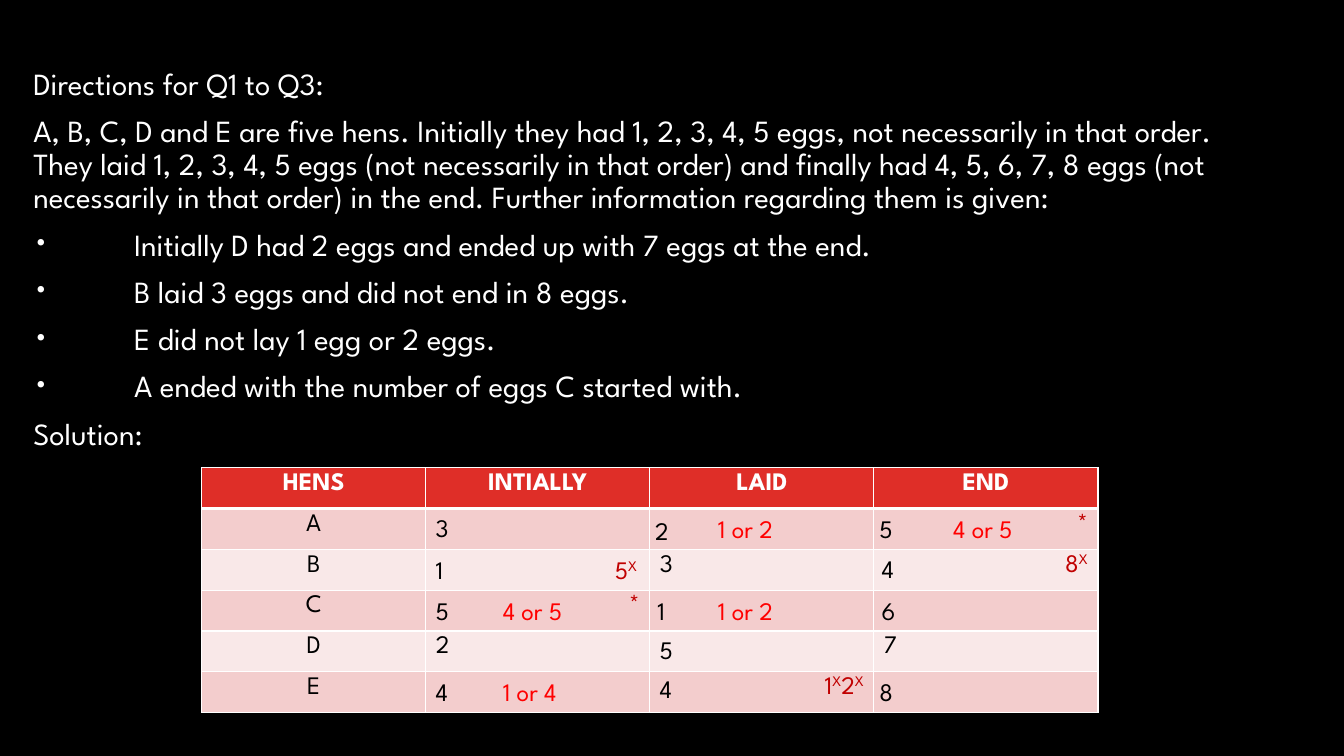
"""Builds the hens-and-eggs puzzle slide with its solution table."""
from itertools import groupby

from lxml.etree import SubElement
from pptx import Presentation
from pptx.dml.color import RGBColor
from pptx.enum.text import MSO_ANCHOR, MSO_AUTO_SIZE, PP_ALIGN
from pptx.oxml.ns import qn
from pptx.util import Inches, Pt

FONT = "League Spartan"
BLACK = RGBColor(0x00, 0x00, 0x00)
WHITE = RGBColor(0xFF, 0xFF, 0xFF)
HEADER_RED = RGBColor(0xDF, 0x2E, 0x28)
PINK = RGBColor(0xF3, 0xCD, 0xCD)
PALE_PINK = RGBColor(0xF9, 0xE8, 0xE8)
DARK_RED = RGBColor(0xC0, 0x00, 0x00)
RED = RGBColor(0xFF, 0x00, 0x00)

INTRO = [
    "Directions for Q1 to Q3:",
    "A, B, C, D and E are five hens. Initially they had 1, 2, 3, 4, 5 eggs, not necessarily "
    "in that order. They laid 1, 2, 3, 4, 5 eggs (not necessarily in that order) and finally "
    "had 4, 5, 6, 7, 8 eggs (not necessarily in that order) in the end. Further information "
    "regarding them is given:",
]
CLUES = [
    "Initially D had 2 eggs and ended up with 7 eggs at the end.",
    "B laid 3 eggs and did not end in 8 eggs.",
    "E did not lay 1 egg or 2 eggs.",
    "A ended with the number of eggs C started with.",
]
CLOSING = ["Solution:"]

HEADINGS = ["HENS", "INTIALLY", "LAID", "END"]
HENS = ["A", "B", "C", "D", "E"]
GIVEN = {(2, 2): "3", (4, 1): "2", (4, 3): "7"}
RULED_OUT = {(1, 3): "*", (2, 3): "8X", (3, 1): "*", (5, 2): "1X2X"}

# Each note: column and row on the table grid, then its text.
ANSWERS = [
    (1, 0.97, "3"), (1.98, 1.04, "2"), (2.98, 1, "5"),
    (1, 2, "1"), (2.99, 1.98, "4"),
    (1, 3, "5"), (1.99, 3, "1"), (2.99, 3, "6"),
    (2, 3.95, "5"),
    (1, 5, "4"), (2, 4.92, "4"), (2.98, 5, "8"),
]
OPTIONS = [
    (2.26, 1, "1 or 2"), (3.31, 1, "4 or 5"), (1.3, 3, "4 or 5"),
    (2.26, 3, "1 or 2"), (1.3, 5, "1 or 4"),
]
CROSSED = [(1.8, 2, "5X")]

TABLE_LEFT, TABLE_TOP = 2, 4.64
TABLE_WIDTH, TABLE_HEIGHT = 8.89, 2.43
COLUMN = TABLE_WIDTH / len(HEADINGS)
ROW = TABLE_HEIGHT / (len(HENS) + 1)


def write(para, text, color, size=18, bold=False, align=None):
    """Fill a paragraph, raising each X as a superscript mark."""
    para.alignment = align
    para.font.name, para.font.size = FONT, Pt(size)
    para.font.bold, para.font.color.rgb = bold, color
    if len(text) > 4 or not text.endswith("X"):
        para.add_run().text = text
        return
    for raised, letters in groupby(text, lambda letter: letter == "X"):
        span = para.add_run()
        span.text = "".join(letters)
        if raised:
            span._r.get_or_add_rPr().set("baseline", "30000")


def set_bullet(para, bulleted):
    """Give the paragraph a hanging bullet one inch wide, or none."""
    properties = para._p.get_or_add_pPr()
    hang = Inches(1) if bulleted else 0
    properties.set("marL", str(hang))
    properties.set("indent", str(-hang))
    if bulleted:
        SubElement(properties, qn("a:buFont"), typeface=FONT)
        SubElement(properties, qn("a:buChar"), char="•")
    else:
        SubElement(properties, qn("a:buNone"))


def add_directions(page):
    """Place the puzzle text in the body placeholder."""
    body = page.placeholders[1]
    body.left, body.top = Inches(0.23), Inches(0.63)
    body.width, body.height = Inches(12.44), Inches(6.44)
    frame = body.text_frame
    frame.auto_size, frame.vertical_anchor = MSO_AUTO_SIZE.NONE, MSO_ANCHOR.TOP
    for index, text in enumerate(INTRO + CLUES + CLOSING):
        para = frame.add_paragraph() if index else frame.paragraphs[0]
        para.line_spacing, para.space_before = 0.9, Pt(10)
        set_bullet(para, text in CLUES)
        write(para, text, WHITE, size=22)


def set_borders(cell, row):
    """Draw white cell edges, thick where the header meets the hens."""
    properties = cell._tc.get_or_add_tcPr()
    thick = {"lnB": 0, "lnT": 1}
    for position, edge in enumerate(("lnL", "lnR", "lnT", "lnB")):
        width = Pt(3 if thick.get(edge) == row else 1)
        line = properties.makeelement(qn(f"a:{edge}"), {"w": str(width)})
        fill = SubElement(line, qn("a:solidFill"))
        SubElement(fill, qn("a:srgbClr"), val=str(WHITE))
        properties.insert(position, line)


def add_solution(page):
    """Add the table with its headings, hens and first findings."""
    table = page.shapes.add_table(
        len(HENS) + 1, len(HEADINGS), Inches(TABLE_LEFT), Inches(TABLE_TOP),
        Inches(TABLE_WIDTH), Inches(TABLE_HEIGHT)).table
    for row in range(len(HENS) + 1):
        for column in range(len(HEADINGS)):
            cell = table.cell(row, column)
            place = row, column
            para = cell.text_frame.paragraphs[0]
            cell.fill.solid()
            if row == 0:
                cell.fill.fore_color.rgb = HEADER_RED
                write(para, HEADINGS[column], WHITE, bold=True, align=PP_ALIGN.CENTER)
            else:
                cell.fill.fore_color.rgb = PINK if row % 2 else PALE_PINK
                if column == 0:
                    write(para, HENS[row - 1], BLACK, align=PP_ALIGN.CENTER)
                elif place in RULED_OUT:
                    write(para, RULED_OUT[place], DARK_RED, align=PP_ALIGN.RIGHT)
                else:
                    write(para, GIVEN.get(place, ""), BLACK)
            set_borders(cell, row)


def add_notes(page, notes, width, color):
    """Lay loose notes over the table grid."""
    for column, row, text in notes:
        box = page.shapes.add_textbox(
            Inches(TABLE_LEFT + column * COLUMN), Inches(TABLE_TOP + row * ROW),
            Inches(width), Inches(0.4))
        box.text_frame.word_wrap = False
        box.text_frame.auto_size = MSO_AUTO_SIZE.SHAPE_TO_FIT_TEXT
        write(box.text_frame.paragraphs[0], text, color)


def main():
    """Build and save the deck."""
    deck = Presentation()
    deck.slide_width, deck.slide_height = Inches(13.33), Inches(7.5)
    page = deck.slides.add_slide(deck.slide_layouts[1])
    page.background.fill.solid()
    page.background.fill.fore_color.rgb = BLACK
    title = page.shapes.title.element
    title.getparent().remove(title)
    add_directions(page)
    add_solution(page)
    add_notes(page, ANSWERS, 0.34, BLACK)
    add_notes(page, CROSSED, 0.44, DARK_RED)
    add_notes(page, OPTIONS, 0.86, RED)
    deck.save("out.pptx")


if __name__ == "__main__":
    main()
